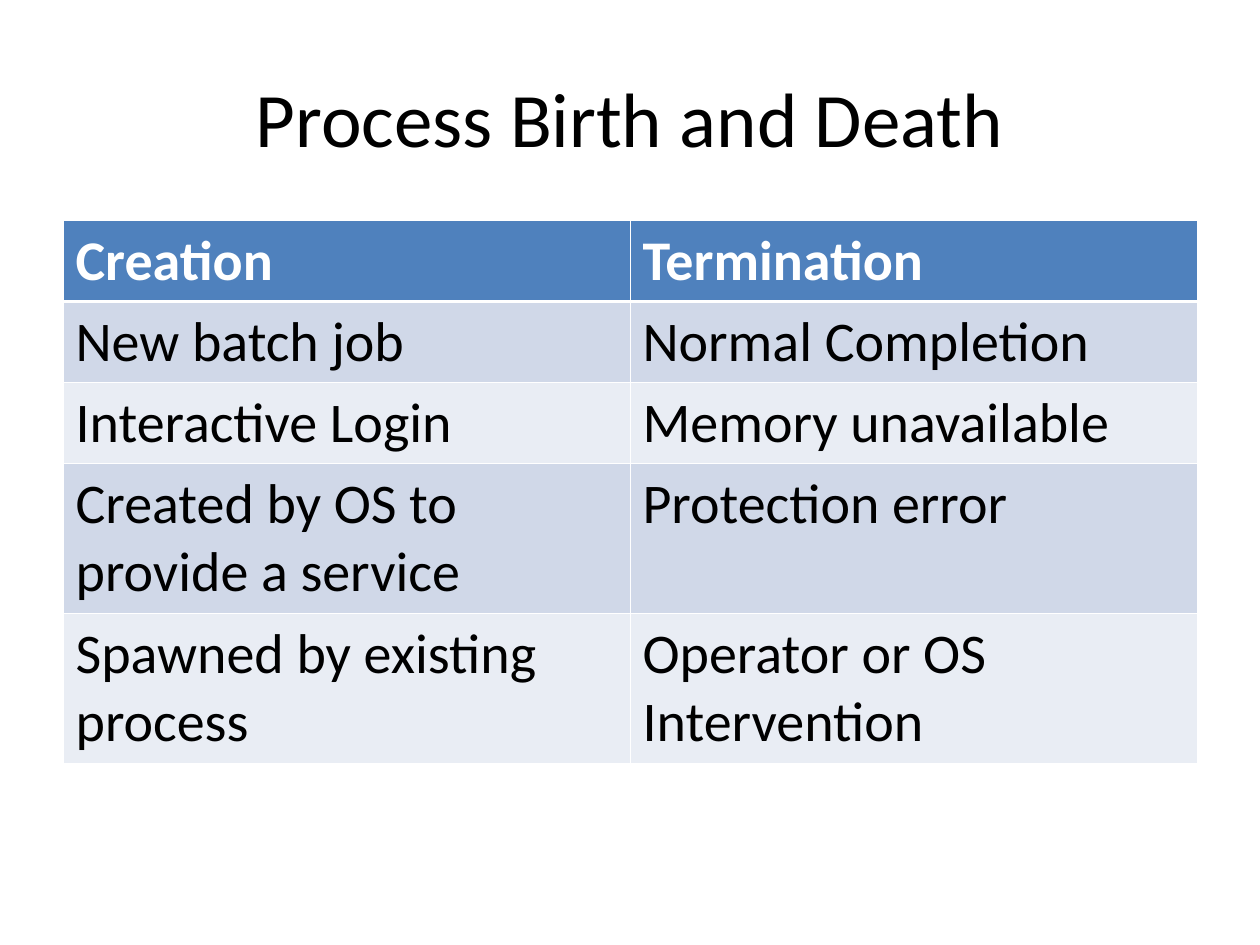
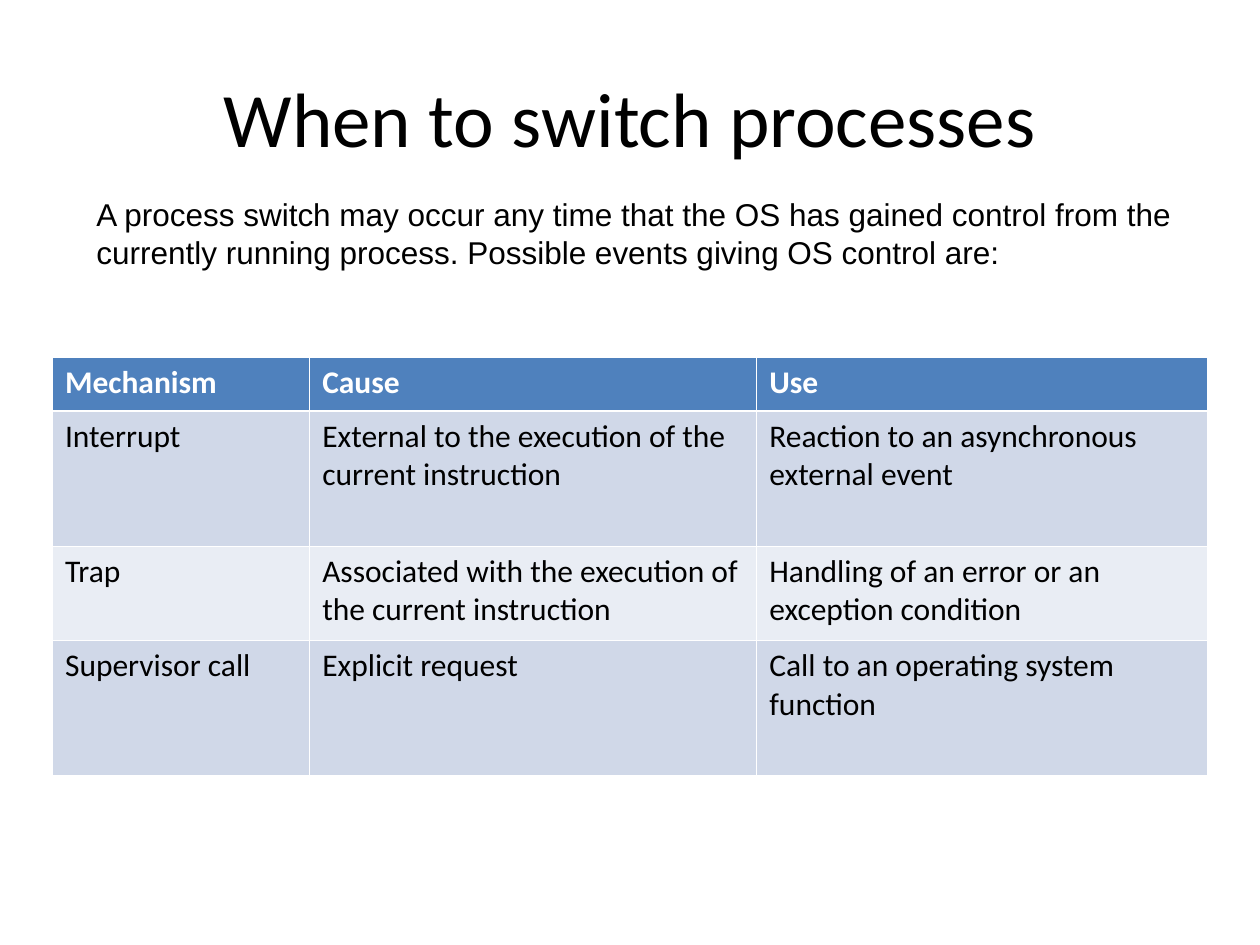
from lxml import etree
from pptx import Presentation
from pptx.dml.color import RGBColor
from pptx.enum import text
from pptx.oxml import ns
from pptx.util import Pt

BLACK = RGBColor(0x00, 0x00, 0x00)
WHITE = RGBColor(0xFF, 0xFF, 0xFF)
HEADER_BLUE = RGBColor(0x4F, 0x81, 0xBD)
BANDS = (RGBColor(0xD0, 0xD8, 0xE8), RGBColor(0xE9, 0xED, 0xF4))
TITLE_BOX = (36, 21.6, 648, 90)
TITLE_ONLY = 5
THIN, THICK = 0.45, 1.47

BIRTH_AND_DEATH = (
    ("Creation", "Termination"),
    ("New batch job", "Normal Completion"),
    ("Interactive Login", "Memory unavailable"),
    ("Created by OS to provide a service", "Protection error"),
    ("Spawned by existing process", "Operator or OS Intervention"),
)
SWITCH_EVENTS = (
    ("Mechanism", "Cause", "Use"),
    ("Interrupt", "External to the execution of the current instruction",
     "Reaction to an asynchronous\nexternal event"),
    ("Trap", "Associated with the execution of the current instruction",
     "Handling of an error or an\nexception condition"),
    ("Supervisor call", "Explicit request",
     "Call to an operating system\nfunction"),
)
SWITCH_INTRO = (
    "A process switch may occur any time that the OS has gained control from "
    "the currently running process. Possible events giving OS control are:"
)


def style_text(frame, font_name, size, color, bold=False):
    for para in frame.paragraphs:
        for span in para.runs:
            span.font.name = font_name
            span.font.size = Pt(size)
            span.font.color.rgb = color
            span.font.bold = bold


def add_titled_page(deck, title):
    page = deck.slides.add_slide(deck.slide_layouts[TITLE_ONLY])
    box = page.shapes.title
    box.left, box.top, box.width, box.height = map(Pt, TITLE_BOX)
    frame = box.text_frame
    frame.text = title
    frame.vertical_anchor = text.MSO_ANCHOR.MIDDLE
    frame.paragraphs[0].alignment = text.PP_ALIGN.CENTER
    style_text(frame, "Calibri", 44, BLACK)
    return page


def add_borders(cell, row):
    """Draw white cell edges, thicker between the header and the body."""
    widths = {
        "L": THIN,
        "R": THIN,
        "T": THICK if row == 1 else THIN,
        "B": THICK if row == 0 else THIN,
    }
    properties = cell._tc.get_or_add_tcPr()
    for side, width in widths.items():
        line = etree.SubElement(properties, ns.qn(f"a:ln{side}"), w=str(int(Pt(width))))
        fill = etree.SubElement(line, ns.qn("a:solidFill"))
        etree.SubElement(fill, ns.qn("a:srgbClr"), val=str(WHITE))


def add_banded_table(page, left, top, widths, heights, rows, size):
    table = page.shapes.add_table(
        len(rows), len(widths), Pt(left), Pt(top), Pt(sum(widths)), Pt(sum(heights))
    ).table
    for column, width in zip(table.columns, widths):
        column.width = Pt(width)
    for row, (height, values) in enumerate(zip(heights, rows)):
        table.rows[row].height = Pt(height)
        is_header = row == 0
        for column, value in enumerate(values):
            cell = table.cell(row, column)
            add_borders(cell, row)
            cell.fill.solid()
            cell.fill.fore_color.rgb = HEADER_BLUE if is_header else BANDS[(row - 1) % 2]
            cell.text_frame.text = value
            style_text(cell.text_frame, "Calibri", size,
                       WHITE if is_header else BLACK, is_header)


def add_intro(page, left, top, width, height, words):
    frame = page.shapes.add_textbox(Pt(left), Pt(top), Pt(width), Pt(height)).text_frame
    frame.word_wrap = True
    frame.text = words
    style_text(frame, "Arial", 18, BLACK)


def main():
    deck = Presentation()
    deck.slide_width, deck.slide_height = Pt(720), Pt(540)

    page = add_titled_page(deck, "Process Birth and Death")
    add_banded_table(page, 36, 126, (324, 324), (45.7, 45.7, 45.7, 84, 84),
                     BIRTH_AND_DEATH, 32)

    page = add_titled_page(deck, "When to switch processes")
    add_banded_table(page, 30, 204, (147, 255.5, 257.5), (31, 77, 54, 77),
                     SWITCH_EVENTS, 18)
    add_intro(page, 48, 108, 636, 50.4, SWITCH_INTRO)

    deck.save("out.pptx")


if __name__ == "__main__":
    main()
